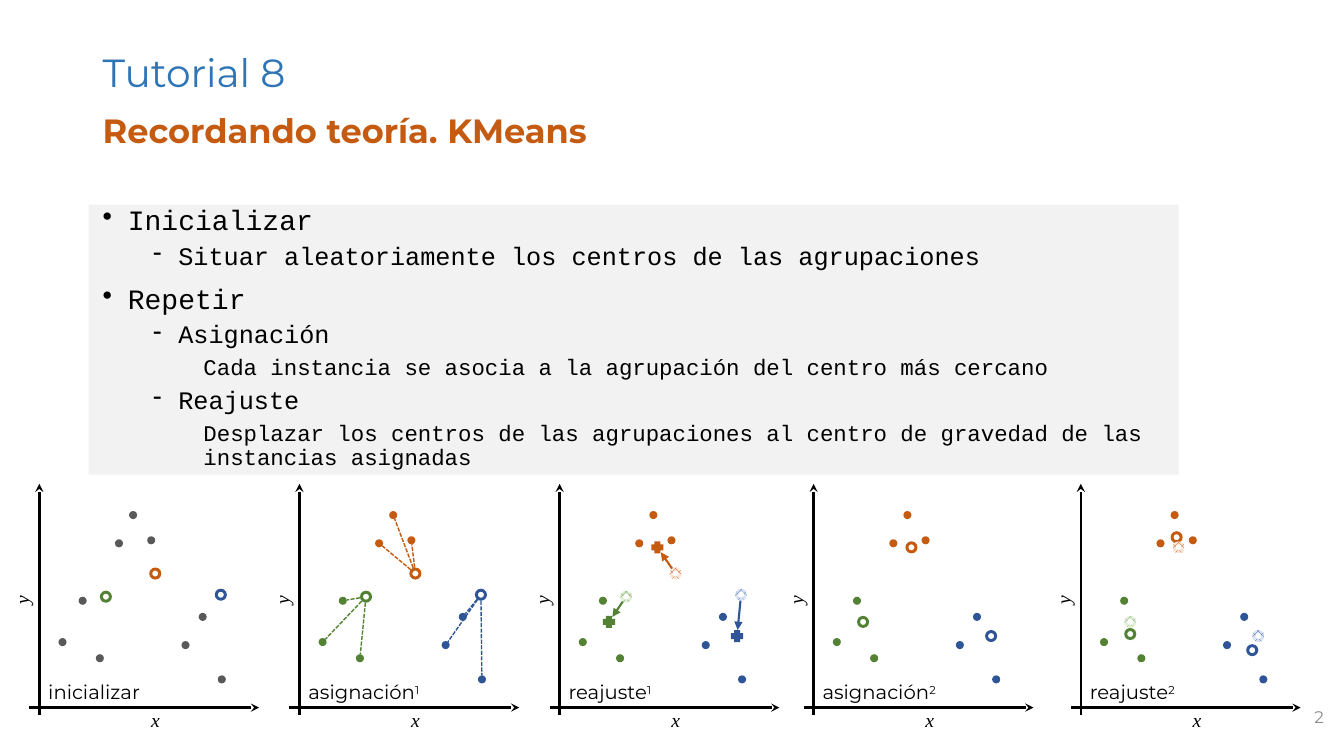
from math import hypot

from lxml.etree import SubElement
from pptx import Presentation
from pptx.dml.color import RGBColor
from pptx.enum.dml import MSO_LINE, MSO_PATTERN
from pptx.enum.shapes import MSO_CONNECTOR, MSO_SHAPE as Geo
from pptx.enum.text import MSO_ANCHOR as Anchor, MSO_AUTO_SIZE as Fit, PP_ALIGN as Align
from pptx.oxml.ns import qn
from pptx.util import Inches, Pt

COLORS = {
    "black": "000000", "title": "2E75B6", "box": "F2F2F2", "number": "8C8C8C",
    "gray": "595959", "green": "548235", "orange": "C55A11", "blue": "2F5597",
    "green_pale": "E2F0D9", "orange_pale": "FBE5D6", "blue_pale": "DAE3F3",
}
SANS, MONO, SERIF = "Montserrat", "Courier New", "Times New Roman"
DOT, CENTER = 0.08, 0.12

STEPS = [
    (0, 20, "Inicializar"),
    (1, 18, "Situar aleatoriamente los centros de las agrupaciones"),
    (0, 20, "Repetir"),
    (1, 18, "Asignación"),
    (2, 16, "Cada instancia se asocia a la agrupación del centro más cercano"),
    (1, 18, "Reajuste"),
    (2, 16, "Desplazar los centros de las agrupaciones al centro de gravedad "
            "de las instancias asignadas"),
]
LEVELS = [(0.25, -0.25, "•", 10), (0.75, -0.25, "-", 5), (1, 0, None, 5)]

INSTANCES = {
    "green": [(0.53, 5.96), (0.33, 6.37), (0.70, 6.53)],
    "orange": [(0.89, 5.39), (1.03, 5.11), (1.21, 5.36)],
    "blue": [(1.72, 6.12), (1.91, 6.74), (1.55, 6.40)],
}
CENTERS = [
    {"green": (0.76, 5.92), "orange": (1.25, 5.69), "blue": (1.90, 5.90)},
    {"green": (0.59, 6.17), "orange": (1.07, 5.43), "blue": (1.86, 6.31)},
    {"green": (0.59, 6.29), "orange": (1.05, 5.33), "blue": (1.80, 6.45)},
]
PANELS = [
    dict(left=0.29, label="inicializar", now=0, assigned=False),
    dict(left=2.87, label="asignación", turn="1", now=0, linked=True),
    dict(left=5.45, label="reajuste", turn="1", now=1, before=0, moving=True),
    dict(left=7.97, label="asignación", turn="2", now=1),
    dict(left=10.62, label="reajuste", turn="2", now=2, before=1),
]


def rgb(name):
    return RGBColor.from_string(COLORS[name])


def write(paragraph, text, size=14, font=SANS, color="black", bold=False,
          italic=False, raised=False):
    run = paragraph.add_run()
    run.text = text
    run.font.size, run.font.name = Pt(size), font
    run.font.bold, run.font.italic = bold, italic
    run.font.color.rgb = rgb(color)
    if raised:
        run.font._element.set("baseline", "30000")


class Canvas:
    def __init__(self, slide):
        self.slide = slide
        self.shapes = slide.shapes

    def group(self):
        self.shapes = self.slide.shapes.add_group_shape().shapes

    def text(self, left, top, width, height, text="", anchor=Anchor.TOP,
             align=Align.LEFT, wrap=True, fit=Fit.NONE, turn=0, spacing=None, **style):
        box = self.shapes.add_textbox(*map(Inches, (left, top, width, height)))
        box.rotation = turn
        frame = box.text_frame
        frame.word_wrap, frame.auto_size = wrap, fit
        frame.vertical_anchor = anchor
        first = frame.paragraphs[0]
        first.alignment, first.line_spacing = align, spacing
        if text:
            write(first, text, **style)
        return frame

    def outline(self, frame, steps):
        for index, (level, size, step) in enumerate(steps):
            item = frame.add_paragraph() if index else frame.paragraphs[0]
            margin, indent, bullet, before = LEVELS[level]
            item.level, item.line_spacing, item.space_before = level, 0.9, Pt(before)
            props = item._p.get_or_add_pPr()
            props.set("marL", str(Inches(margin)))
            props.set("indent", str(Inches(indent)))
            if bullet:
                SubElement(props, qn("a:buChar")).set("char", bullet)
            write(item, step, size=size, font=MONO)

    def shape(self, geometry, left, top, width, height, color, ghost=False):
        shape = self.shapes.add_shape(geometry, *map(Inches, (left, top, width, height)))
        shape.shadow.inherit = False
        shape.line.fill.background()
        if ghost:
            shape.fill.patterned()
            shape.fill.pattern = MSO_PATTERN.PERCENT_50
            shape.fill.fore_color.rgb = rgb(color)
            shape.fill.back_color.rgb = rgb(color + "_pale")
        else:
            shape.fill.solid()
            shape.fill.fore_color.rgb = rgb(color)

    def mark(self, geometry, left, place, size, color, ghost=False):
        x, y = place
        self.shape(geometry, left + x - size / 2, y - size / 2, size, size, color, ghost)

    def line(self, start, end, color, width, head=None, dash=None):
        line = self.shapes.add_connector(MSO_CONNECTOR.STRAIGHT, *map(Inches, start + end))
        line.line.color.rgb, line.line.width = rgb(color), Pt(width)
        if dash:
            line.line.dash_style = dash
        if head:
            SubElement(line.line._get_or_add_ln(), qn("a:tailEnd")).set("type", head)
        SubElement(line._element.spPr, qn("a:effectLst"))

    def link(self, left, start, end, end_size, color, width, **style):
        (x1, y1), (x2, y2) = start, end
        length = hypot(x2 - x1, y2 - y1)
        dx, dy = (x2 - x1) / length, (y2 - y1) / length
        near, far = CENTER / 2, end_size / 2
        self.line((left + x1 + near * dx, y1 + near * dy),
                  (left + x2 - far * dx, y2 - far * dy), color, width, **style)

    def panel(self, left, label, now, turn=None, before=None, assigned=True,
              linked=False, moving=False):
        self.group()
        caption = self.text(left + 0.09, 6.7, 1.42, 0.34, label, fit=Fit.SHAPE_TO_FIT_TEXT)
        if turn:
            write(caption.paragraphs[0], turn, raised=True)
        self.line((left, 7.02), (left + 2.28, 7.02), "black", 1.75, head="stealth")
        self.line((left + 0.1, 7.09), (left + 0.1, 4.8), "black", 1.75, head="stealth")
        for axis, x, y, angle in (("x", 1.11, 6.97, 0), ("y", -0.22, 5.78, 270)):
            self.text(left + x, y, 0.29, 0.34, axis, wrap=False, turn=angle,
                      fit=Fit.SHAPE_TO_FIT_TEXT, font=SERIF, italic=True)
        for cluster, instances in INSTANCES.items():
            center = CENTERS[now][cluster]
            for instance in instances:
                self.mark(Geo.OVAL, left, instance, DOT, cluster if assigned else "gray")
                if linked:
                    self.link(left, center, instance, DOT, cluster, 1,
                              dash=MSO_LINE.SQUARE_DOT)
            self.mark(Geo.CROSS if moving else Geo.DONUT, left, center, CENTER, cluster)
            if before is not None:
                previous = CENTERS[before][cluster]
                self.mark(Geo.DONUT, left, previous, CENTER, cluster, ghost=True)
                if moving:
                    self.link(left, previous, center, CENTER, cluster, 1.5, head="triangle")


def main():
    deck = Presentation()
    deck.slide_width, deck.slide_height = Inches(13.33), Inches(7.5)
    canvas = Canvas(deck.slides.add_slide(deck.slide_layouts[6]))
    canvas.text(0.92, 0.4, 11.5, 0.69, "Tutorial 8", anchor=Anchor.MIDDLE,
                spacing=0.9, size=28, color="title")
    canvas.text(0.92, 1.09, 11.5, 0.9, "Recordando teoría. KMeans",
                spacing=0.9, size=24, color="orange", bold=True)
    canvas.shape(Geo.RECTANGLE, 0.88, 2.03, 10.81, 2.68, "box")
    canvas.outline(canvas.text(0.92, 2, 11.5, 4.76), STEPS)
    canvas.text(10.23, 6.91, 3, 0.4, "2", anchor=Anchor.MIDDLE, align=Align.RIGHT,
                size=12, color="number")
    for panel in PANELS:
        canvas.panel(**panel)
    deck.save("out.pptx")


if __name__ == "__main__":
    main()
